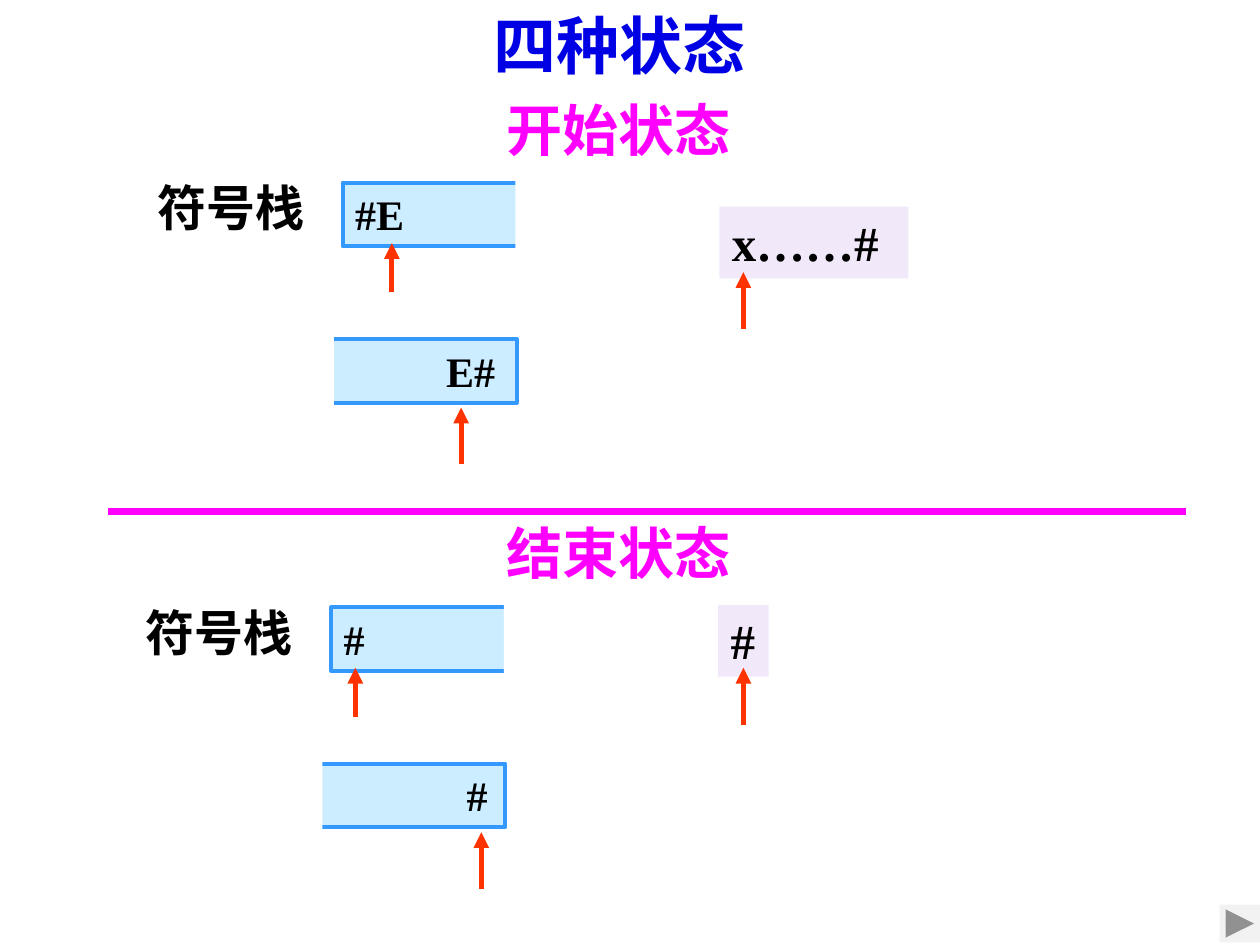
from pptx import Presentation
from pptx.dml.color import RGBColor
from pptx.enum.shapes import MSO_CONNECTOR, MSO_SHAPE
from pptx.enum.text import MSO_ANCHOR, MSO_AUTO_SIZE, PP_ALIGN
from pptx.oxml.ns import qn
from pptx.util import Inches, Pt
from lxml.etree import SubElement

COLORS = {
    "title": "0000E5", "accent": "FF00FF", "text": "000000",
    "stack": "CCECFF", "stack_edge": "3399FF", "input": "F1E8FA",
    "pointer": "FF3300", "background": "FFFFFF", "button": "F2F2F2",
}
FONT = "Times New Roman"
COLUMNS, ROWS = 100, 75  # grid cells across and down the slide
WIDTH, HEIGHT = Inches(10), Inches(7.5)


def color(name):
    return RGBColor.from_string(COLORS[name])


def write(frame, text, size, ink="text", wrap=False, align=PP_ALIGN.LEFT,
          anchor=MSO_ANCHOR.TOP, line_spacing=None, right_inset=0.1):
    frame.word_wrap = wrap
    frame.auto_size = MSO_AUTO_SIZE.NONE
    frame.vertical_anchor = anchor
    frame.margin_left, frame.margin_right = Inches(0.1), Inches(right_inset)
    frame.margin_top = frame.margin_bottom = Inches(0.05)
    paragraph = frame.paragraphs[0]
    paragraph.alignment = align
    if line_spacing:
        paragraph.line_spacing = line_spacing
    run = paragraph.add_run()
    run.text = text
    run.font.name, run.font.size, run.font.bold = FONT, Pt(size), True
    run.font.color.rgb = color(ink)


class StateSlide:
    """Draws on one slide; all lengths are grid columns and rows."""

    def __init__(self, deck):
        self.slide = deck.slides.add_slide(deck.slide_layouts[5])
        self.shapes = self.slide.shapes

    def place(self, left, top, width=0, height=0):
        across, down = WIDTH / COLUMNS, HEIGHT / ROWS
        return [round(n) for n in (left * across, top * down,
                                   width * across, height * down)]

    def title(self, text, *cell):
        title = self.shapes.title
        title.left, title.top, title.width, title.height = self.place(*cell)
        write(title.text_frame, text, 36, "title",
              anchor=MSO_ANCHOR.MIDDLE, line_spacing=1.2)

    def label(self, text, *cell, **style):
        box = self.shapes.add_textbox(*self.place(*cell))
        write(box.text_frame, text, **style)

    def block(self, fill, *cell, edge=None, kind=MSO_SHAPE.RECTANGLE):
        block = self.shapes.add_shape(kind, *self.place(*cell))
        block.shadow.inherit = False
        block.fill.solid()
        block.fill.fore_color.rgb = color(fill)
        if edge:
            block.line.color.rgb = color(edge)
            block.line.width = Pt(2.25)
        else:
            block.line.fill.background()
        return block

    def line(self, start, end, ink, weight, arrow=False):
        line = self.shapes.add_connector(
            MSO_CONNECTOR.STRAIGHT, *self.place(*start)[:2], *self.place(*end)[:2])
        line.line.color.rgb = color(ink)
        line.line.width = Pt(weight)
        if arrow:
            SubElement(line.line._get_or_add_ln(), qn("a:tailEnd"), type="triangle")
        SubElement(line._element.spPr, qn("a:effectLst"))

    def pointer(self, column, tip, length):
        self.line((column, tip + length), (column, tip), "pointer", 3, arrow=True)

    def state(self, heading, heading_top, left, top, symbols, reversed_symbols,
              pointers, input_text, input_cell, input_tip, right_inset):
        """Heading, two stacks with one open end each, and the input string."""
        self.label(heading, 39.2, heading_top, 20, 6.4, size=32, ink="accent")
        self.label("符号栈", left, top, 13.8, 5.7, size=28)

        stack = self.block("stack", left + 15.7, top + 0.9, 14, 5.05, edge="stack_edge")
        write(stack.text_frame, symbols, 24, wrap=True)
        self.block("background", left + 29.4, top + 0.2, 4.3, 6.9)
        self.pointer(pointers[0], top + 5.7, 3.9)

        mirrored = self.block("stack", left + 13, top + 13.3, 16.5, 5.05, edge="stack_edge")
        write(mirrored.text_frame, reversed_symbols, 24, wrap=True,
              align=PP_ALIGN.RIGHT, right_inset=right_inset)
        self.block("background", left + 12.7, top + 12.4, 2.3, 6.3)
        self.pointer(pointers[1], top + 18.75, 4.5)

        remaining = self.block("input", *input_cell)
        write(remaining.text_frame, input_text, 28)
        self.pointer(59, input_tip, 4.5)


def main():
    deck = Presentation()
    deck.slide_width, deck.slide_height = WIDTH, HEIGHT
    page = StateSlide(deck)
    page.title("四种状态", 38.2, 0, 23.6, 5.8)
    page.state("开始状态", 7.1, 11.5, 13.6, "#E", "E#", (31.1, 36.6),
               "x……#", (57.1, 16.4, 15, 5.7), 21.6, right_inset=0.17)
    page.state("结束状态", 40.7, 10.6, 47.3, "#", "#", (28.2, 38.2),
               "#", (57, 48, 4, 5.7), 53, right_inset=0.14)
    page.line((8.6, 40.6), (94.1, 40.6), "accent", 4.5)
    page.block("button", 96.8, 71.8, 3.2, 3,
               kind=MSO_SHAPE.ACTION_BUTTON_FORWARD_OR_NEXT)
    deck.save("out.pptx")


if __name__ == "__main__":
    main()
